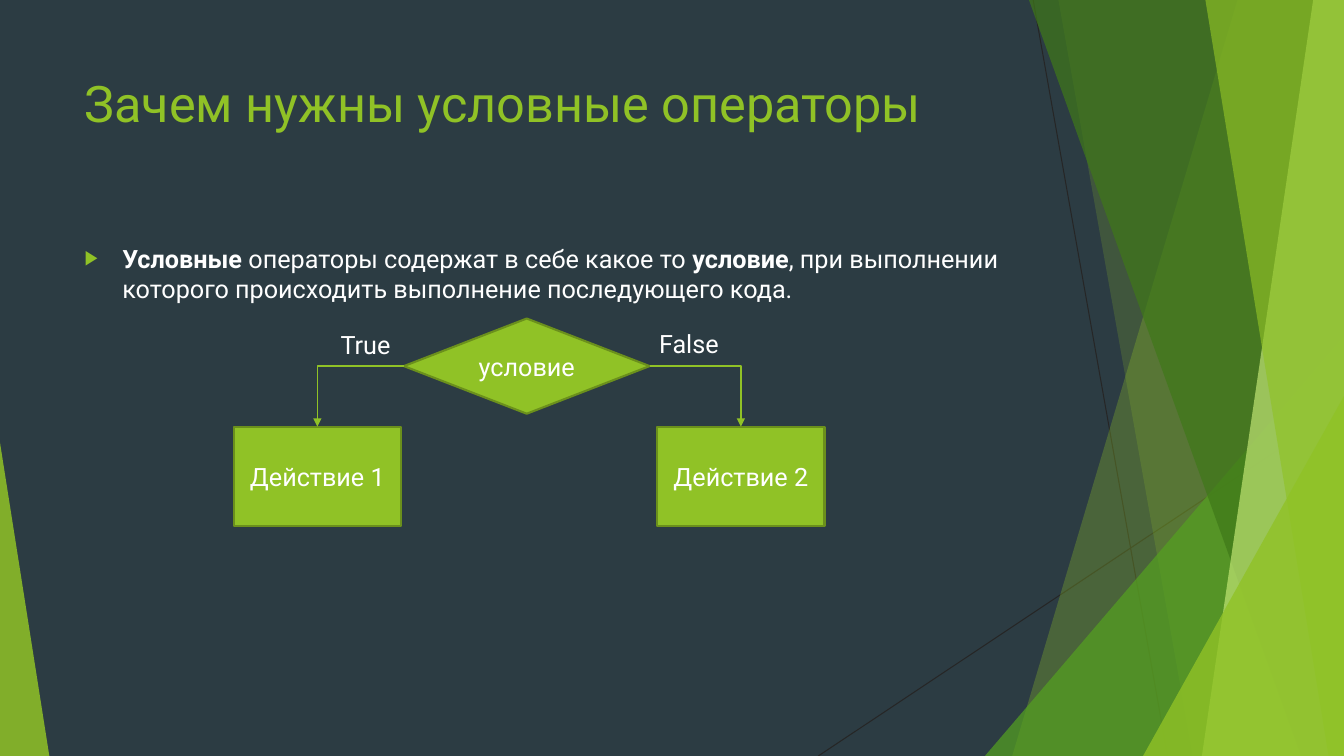
from lxml.etree import SubElement as Sub
from pptx import Presentation
from pptx.dml.color import RGBColor as RGB
from pptx.enum.shapes import MSO_CONNECTOR as Link, MSO_SHAPE as Kind
from pptx.enum.text import MSO_ANCHOR as Anchor, MSO_AUTO_SIZE as Fit, PP_ALIGN as Align
from pptx.oxml.ns import qn
from pptx.util import Pt

WIDE, HIGH = 960, 540
FONT = "Roboto"
DARK = RGB(0x2C, 0x3C, 0x43)
LIME = RGB(0x90, 0xC2, 0x26)
EDGE = RGB(0x6B, 0x90, 0x1C)
GREEN = RGB(0x54, 0xA0, 0x21)
MOSS = RGB(0x3F, 0x78, 0x19)
PALE = RGB(0xC0, 0xE4, 0x74)
INK = RGB(0x26, 0x26, 0x26)
WHITE = RGB(0xFF, 0xFF, 0xFF)

TITLE = "Зачем нужны условные операторы"
BODY = [  # text, bold
    ("Условные", True),
    (" операторы содержат в себе какое то ", False),
    ("условие", True),
    (", при выполнении которого происходить выполнение последующего кода.", False),
]
TEST = ("условие", Kind.FLOWCHART_DECISION, (288.5, 227.5, 175.5, 68))
BRANCHES = [  # label, label box, action, action left, side of the test
    ("True", (236.2, 231.8, 60, 29), "Действие 1", 167, 1),
    ("False", (463.7, 231.1, 65.5, 29), "Действие 2", 469.5, 3),
]
ACT_TOP, ACT_W, ACT_H = 304.75, 119.5, 71

RAYS = [(738, 0, 834, HIGH), (WIDE, 290, 584.5, HIGH)]
FACETS = [  # bands: top x, bottom x; wedges: left, top, width, apex
    ("band", (884, 723), LIME, 30),
    ("band", (756, 852), LIME, 20),
    ("wedge", (703.5, 240, 256.5, 1), GREEN, 72),
    ("band", (735, 929.5), MOSS, 70),
    ("band", (938, 858.5), PALE, 70),
    ("band", (861, 949), LIME, 65),
    ("wedge", (816.5, 283, 143.5, 1), LIME, 80),
    ("wedge", (0, 316, 35.25, 0), LIME, 85),
]


def pts(*nums):
    """Turn numbers into lengths in points."""
    return [Pt(n) for n in nums]


def style(run, size=18, color=WHITE, bold=False):
    """Set the look of a run."""
    font = run.font
    font.name, font.size, font.bold = FONT, Pt(size), bold
    font.color.rgb = color


def facet(kind, place, color, alpha):
    """Draw one see-through facet of the backdrop."""
    if kind == "band":
        top, low = place
        pen = shapes.build_freeform(*pts(top, 0))
        pen.add_line_segments([pts(WIDE, 0), pts(WIDE, HIGH), pts(low, HIGH)])
        shape = pen.convert_to_shape()
    else:
        left, top, wide, apex = place
        shape = shapes.add_shape(Kind.ISOSCELES_TRIANGLE, *pts(left, top, wide, HIGH - top))
        shape.adjustments[0] = apex
    shape.shadow.inherit = False
    shape.line.fill.background()
    shape.fill.solid()
    shape.fill.fore_color.rgb = color
    tint = shape.fill._xPr.find(qn("a:solidFill"))[0]
    Sub(tint, qn("a:alpha"), val=str(alpha * 1000))


def line(kind, ends, color, width):
    """Draw a connector without a shadow."""
    link = shapes.add_connector(kind, *pts(*ends))
    link.line.color.rgb, link.line.width = color, Pt(width)
    Sub(link._element.spPr, qn("a:effectLst"))
    return link


def text(box, words, size=18, color=WHITE, wrap=True):
    """Add a text box and return its first paragraph."""
    frame = shapes.add_textbox(*pts(*box)).text_frame
    frame.word_wrap = wrap
    frame.auto_size = Fit.NONE if wrap else Fit.SHAPE_TO_FIT_TEXT
    para = frame.paragraphs[0]
    para.text = words
    for run in para.runs:
        style(run, size, color)
    return para


def node(words, kind, box):
    """Draw one step of the flowchart."""
    shape = shapes.add_shape(kind, *pts(*box))
    shape.shadow.inherit = False
    shape.fill.solid()
    shape.fill.fore_color.rgb = LIME
    shape.line.color.rgb, shape.line.width = EDGE, Pt(1.5)
    frame = shape.text_frame
    frame.text, frame.vertical_anchor = words, Anchor.MIDDLE
    para = frame.paragraphs[0]
    para.alignment = Align.CENTER
    style(para.runs[0])
    return shape


def bullet(para):
    """Give a paragraph a green arrow bullet and a hanging indent."""
    para.space_before = Pt(10)
    props = para._p.get_or_add_pPr()
    props.set("marL", str(Pt(27)))
    props.set("indent", str(Pt(-27)))
    Sub(Sub(props, qn("a:buClr")), qn("a:srgbClr"), val=str(LIME))
    Sub(props, qn("a:buSzPct"), val="80000")
    Sub(props, qn("a:buFont"), typeface=FONT)
    Sub(props, qn("a:buChar"), char="▶")


deck = Presentation()
deck.slide_width, deck.slide_height = pts(WIDE, HIGH)
slide = deck.slides.add_slide(deck.slide_layouts[6])
shapes = slide.shapes
slide.background.fill.solid()
slide.background.fill.fore_color.rgb = DARK

for ray in RAYS:
    line(Link.STRAIGHT, ray, INK, 0.75)
for row in FACETS:
    facet(*row)

text((53.3, 48, 677, 104), TITLE, 36, LIME)
para = text((53.3, 170, 677, 305), "")
bullet(para)
for words, bold in BODY:
    run = para.add_run()
    run.text = words
    style(run, bold=bold)

test = node(*TEST)
left, top, wide, high = TEST[2]
for label, box, action, x, side in BRANCHES:
    act = node(action, Kind.RECTANGLE, (x, ACT_TOP, ACT_W, ACT_H))
    text(box, label, wrap=False)
    start = left if side == 1 else left + wide
    ends = (start, top + high / 2, x + ACT_W / 2, ACT_TOP)
    link = line(Link.ELBOW, ends, LIME, 1)
    link._element.spPr.find(qn("a:prstGeom")).set("prst", "bentConnector2")
    link.begin_connect(test, side)
    link.end_connect(act, 0)
    Sub(link.line._get_or_add_ln(), qn("a:tailEnd"), type="triangle")

deck.save("out.pptx")
